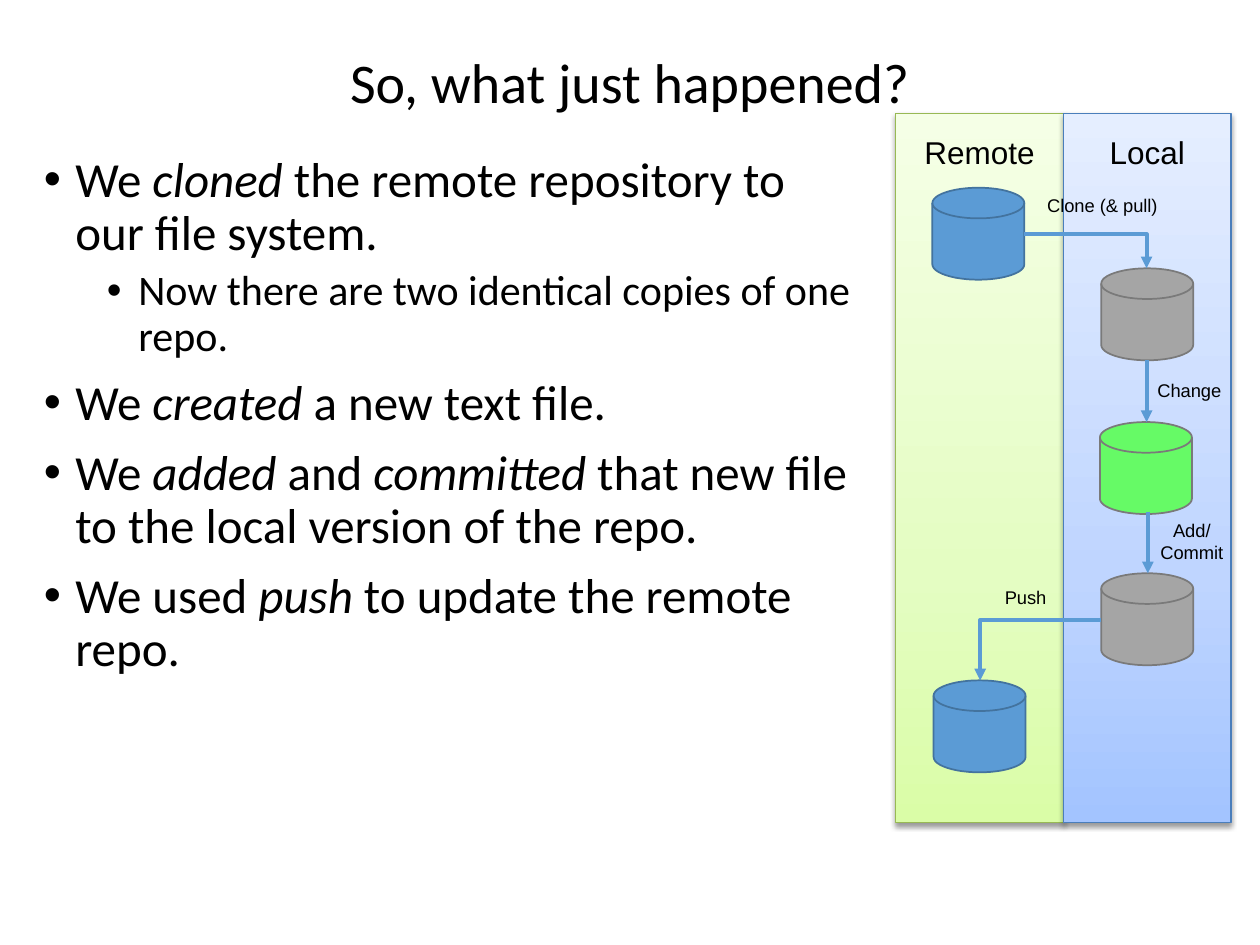
from copy import deepcopy

from lxml import etree
from pptx import Presentation
from pptx import util as u
from pptx.dml.color import RGBColor
from pptx.enum import shapes, text
from pptx.oxml import ns

COLORS = {
    "ink": "000000", "arrow": "5B9BD5",
    "blue": "5B9BD5", "blue line": "43739E",
    "grey": "A5A5A5", "grey line": "7A7A7A", "green": "66FA66",
    "remote line": "98B954", "local line": "4A7EBB",
}
REMOTE_STOPS = [(0, "DAFDA7"), (0.35, "E4FDC2"), (1, "F5FFE6")]
LOCAL_STOPS = [(0, "A3C4FF"), (0.35, "BFD5FF"), (1, "E5EEFF")]
BULLETS = [
    (0, "We *cloned* the remote repository to our file system."),
    (1, "Now there are two identical copies of one repo."),
    (0, "We *created* a new text file."),
    (0, "We *added* and *committed* that new file to the local version of the repo."),
    (0, "We used *push* to update the remote repo."),
]
LEVELS = [
    {"size": 28, "indent": 0.25, "before": 10},
    {"size": 24, "indent": 0.75, "before": 5},
]
DISK = 0.73
PANEL_WIDTH, PANEL_TOP, PANEL_HEIGHT = 1.33, 0.9, 5.63
REMOTE_LEFT = 7.11
LOCAL_LEFT = REMOTE_LEFT + PANEL_WIDTH


def rgb(name):
    return RGBColor.from_string(COLORS.get(name, name))


def child(parent, tag, **attributes):
    return etree.SubElement(parent, ns.qn(tag), attributes)


def write(paragraph, content, size, font="Arial", align=None, spacing=None, before=0):
    """Write text into a paragraph; parts between asterisks are italic."""
    paragraph.alignment = align
    paragraph.line_spacing = spacing
    paragraph.space_before = u.Pt(before)
    for index, part in enumerate(content.split("*")):
        run = paragraph.add_run()
        run.text = part
        run.font.size = u.Pt(size)
        run.font.name = font
        run.font.italic = index % 2 == 1
        run.font.color.rgb = rgb("ink")


class Diagram:
    """Holds the style and the current slide."""

    def __init__(self, slide):
        self.slide = slide
        self.arrow_width = u.Pt(2.25)

    def textbox(self, left, top, width, height, anchor=text.MSO_ANCHOR.TOP):
        box = self.slide.shapes.add_textbox(*map(u.Inches, (left, top, width, height)))
        box.text_frame.word_wrap = True
        box.text_frame.vertical_anchor = anchor
        return box.text_frame

    def title(self, content):
        frame = self.textbox(0.5, 0.05, 9, 1.25, text.MSO_ANCHOR.MIDDLE)
        write(frame.paragraphs[0], content, 32, "Calibri", text.PP_ALIGN.CENTER, 0.9)

    def bullets(self, items):
        frame = self.textbox(0.25, 1.18, 6.66, 4.95)
        for index, (level, content) in enumerate(items):
            style = LEVELS[level]
            paragraph = frame.add_paragraph() if index else frame.paragraphs[0]
            paragraph.level = level
            write(paragraph, content, style["size"], "Calibri", spacing=0.9,
                  before=style["before"] if index else 0)
            properties = paragraph._p.get_or_add_pPr()
            properties.set("marL", str(u.Inches(style["indent"])))
            properties.set("indent", str(u.Inches(-0.25)))
            child(properties, "a:buFont", typeface="Arial")
            child(properties, "a:buChar", char="•")

    def label(self, lines, center, top, width=1.7, size=10.5):
        frame = self.textbox(center - width / 2, top, width, 0.13 + 0.16 * len(lines))
        for index, line in enumerate(lines):
            paragraph = frame.add_paragraph() if index else frame.paragraphs[0]
            write(paragraph, line, size, align=text.PP_ALIGN.CENTER)

    def shape(self, kind, left, top, width, height, line, line_width):
        shape = self.slide.shapes.add_shape(kind, *map(u.Inches, (left, top, width, height)))
        shape.shadow.inherit = False
        shape.line.color.rgb = rgb(line)
        shape.line.width = u.Pt(line_width)
        return shape

    def panel(self, left, stops, line):
        shape = self.shape(shapes.MSO_SHAPE.RECTANGLE, left, PANEL_TOP,
                           PANEL_WIDTH, PANEL_HEIGHT, line, 0.75)
        shape.fill.gradient()
        shape.fill.gradient_angle = 90
        stop_list = shape._element.spPr.find(".//" + ns.qn("a:gsLst"))
        stop_list.insert(1, deepcopy(stop_list[0]))
        for stop, (position, color) in zip(shape.fill.gradient_stops, stops):
            stop.position = position
            stop.color.rgb = rgb(color)
        effects = shape._element.spPr.find(ns.qn("a:effectLst"))
        shadow = child(effects, "a:outerShdw", blurRad=str(u.Pt(3.1)), dist=str(u.Pt(1.6)),
                       dir="5400000", rotWithShape="0")
        child(child(shadow, "a:srgbClr", val="000000"), "a:alpha", val="38000")

    def disk(self, left, top, fill, line):
        shape = self.shape(shapes.MSO_SHAPE.FLOWCHART_MAGNETIC_DISK, left, top,
                           DISK, DISK, line, 1)
        shape.fill.solid()
        shape.fill.fore_color.rgb = rgb(fill)

    def arrow(self, start, end, bent=False):
        kind = shapes.MSO_CONNECTOR.ELBOW if bent else shapes.MSO_CONNECTOR.STRAIGHT
        connector = self.slide.shapes.add_connector(kind, *map(u.Inches, start + end))
        connector.line.color.rgb = rgb("arrow")
        connector.line.width = self.arrow_width
        properties = connector._element.spPr
        if bent:
            properties.find(ns.qn("a:prstGeom")).set("prst", "bentConnector2")
        child(connector.line._get_or_add_ln(), "a:tailEnd", type="triangle")
        child(properties, "a:effectLst")


def main():
    presentation = Presentation()
    presentation.slide_width, presentation.slide_height = u.Inches(10), u.Inches(7.5)
    diagram = Diagram(presentation.slides.add_slide(presentation.slide_layouts[6]))

    diagram.title("So, what just happened?")
    diagram.bullets(BULLETS)
    diagram.panel(REMOTE_LEFT, REMOTE_STOPS, "remote line")
    diagram.panel(LOCAL_LEFT, LOCAL_STOPS, "local line")
    for heading, left in (("Remote", REMOTE_LEFT), ("Local", LOCAL_LEFT)):
        diagram.label([heading], left + PANEL_WIDTH / 2, 1.01, PANEL_WIDTH, 18)

    for left, top, fill, line in (
        (7.4, 1.49, "blue", "blue line"),
        (8.74, 2.13, "grey", "grey line"),
        (8.73, 3.35, "green", "grey line"),
        (8.74, 4.55, "grey", "grey line"),
        (7.41, 5.4, "blue", "blue line"),
    ):
        diagram.disk(left, top, fill, line)

    diagram.arrow((8.13, 1.86), (9.1, 2.13), bent=True)
    diagram.arrow((9.1, 2.86), (9.1, 3.35))
    diagram.arrow((9.11, 4.06), (9.11, 4.55))
    diagram.arrow((8.74, 4.92), (7.78, 5.4), bent=True)

    for lines, center, top in (
        (["Clone (& pull)"], 8.75, 1.49),
        (["Change"], 9.44, 2.96),
        (["Add/", "Commit"], 9.46, 4.07),
        (["Push"], 8.14, 4.6),
    ):
        diagram.label(lines, center, top)

    presentation.save("out.pptx")


if __name__ == "__main__":
    main()
